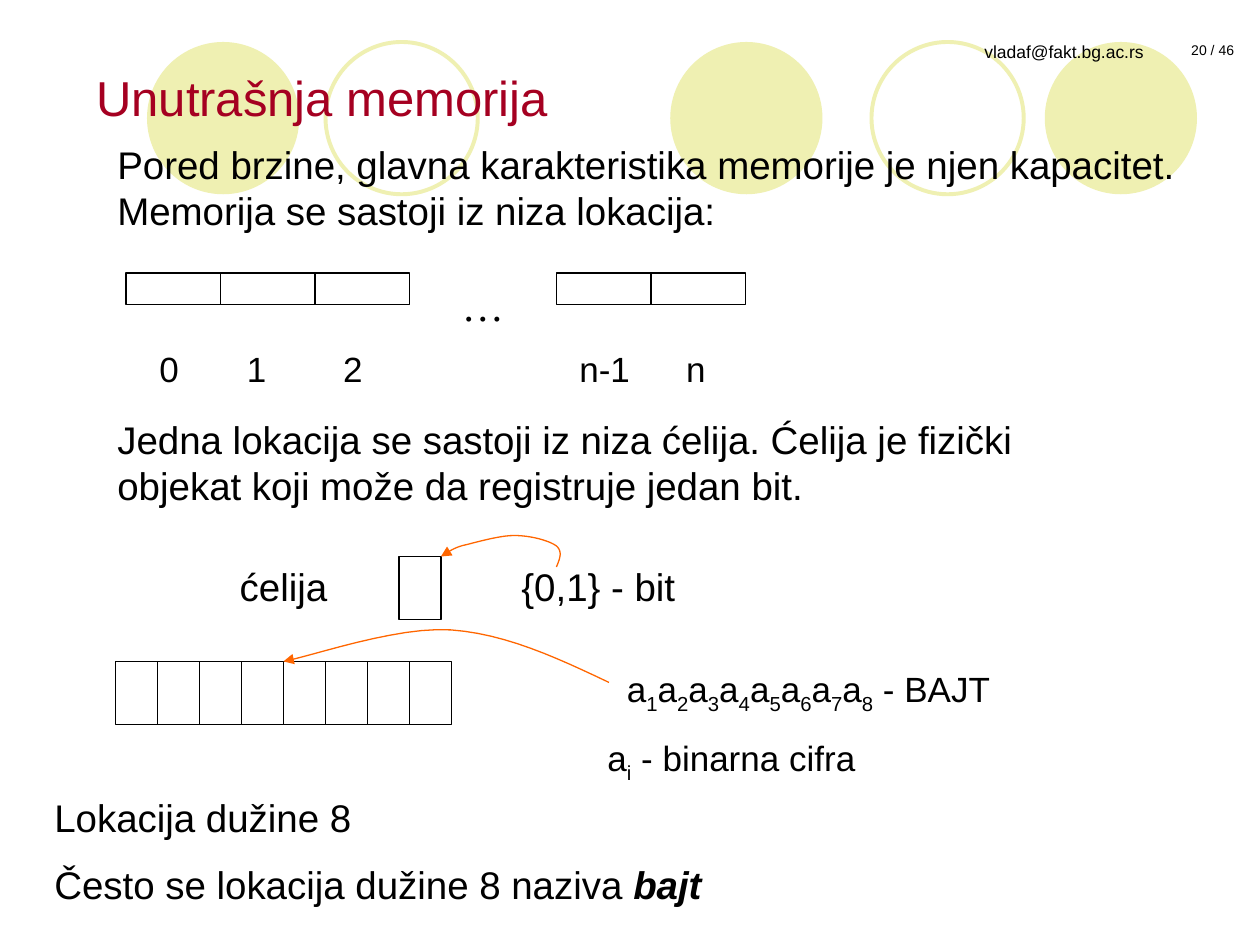
"""Builds the slide on internal memory: locations, cells and the byte."""
from lxml.etree import SubElement
from pptx import Presentation
from pptx.dml.color import RGBColor
from pptx.enum.shapes import MSO_SHAPE as Preset
from pptx.enum.text import MSO_ANCHOR as Anchor, PP_ALIGN as Align
from pptx.oxml.ns import qn
from pptx.util import Pt

BLACK = RGBColor(0x00, 0x00, 0x00)
WHITE = RGBColor(0xFF, 0xFF, 0xFF)
CREAM = RGBColor(0xEF, 0xF0, 0xB2)
CRIMSON = RGBColor(0xA5, 0x00, 0x21)
ORANGE = RGBColor(0xFF, 0x66, 0x00)

deck = Presentation()
deck.slide_width, deck.slide_height = Pt(720), Pt(540)
slide = deck.slides.add_slide(deck.slide_layouts[6])


def add_text(box, paragraphs, size, align=Align.LEFT, color=BLACK, font="Arial"):
    frame = slide.shapes.add_textbox(*map(Pt, box)).text_frame
    frame.word_wrap = True
    for index, runs in enumerate(paragraphs):
        paragraph = frame.add_paragraph() if index else frame.paragraphs[0]
        paragraph.alignment = align
        paragraph.space_before = Pt(12 if index else 0)
        for text, style in runs:
            run = paragraph.add_run()
            run.text = text
            run.font.name, run.font.size = font, Pt(size)
            run.font.color.rgb = color
            if style == "sub":
                run._r.get_or_add_rPr().set("baseline", "-25000")
            elif style == "strong":
                run.font.bold = run.font.italic = True
    return frame


def add_outline(preset, box, fill, line, width):
    shape = slide.shapes.add_shape(preset, *map(Pt, box))
    shape.shadow.inherit = False
    if fill is None:
        shape.fill.background()
    else:
        shape.fill.solid()
        shape.fill.fore_color.rgb = fill
    if line is None:
        shape.line.fill.background()
    else:
        shape.line.color.rgb = line
        shape.line.width = Pt(width)


for left in (84, 383, 597):
    add_outline(Preset.OVAL, (left, 24, 87, 87), CREAM, None, 0)
for left in (186, 498):
    add_outline(Preset.OVAL, (left, 24, 87, 87), None, CREAM, 2.25)

add_text((484.5, 20, 176, 36), [[("vladaf@fakt.bg.ac.rs", "")]], 10, Align.RIGHT)
add_text((666, 20, 54, 17), [[("20 / 46", "")]], 8, Align.CENTER)

add_text((60, 77, 640, 60), [[(
    "Pored brzine, glavna karakteristika memorije je njen kapacitet. "
    "Memorija se sastoji iz niza lokacija:", "")]], 22)

for left in (72, 126, 180, 318, 372):
    add_outline(Preset.RECTANGLE, (left, 156, 54, 18), WHITE, BLACK, 0.75)
add_text((240, 156, 72, 36), [[("…", "")]], 24, Align.CENTER, font="Times New Roman")

addresses = add_text((72, 195, 354, 36), [[("\t0\t1\t2\tn-1\tn", "")]], 20)
tab_list = SubElement(addresses.paragraphs[0]._p.get_or_add_pPr(), qn("a:tabLst"))
for position in (12, 62, 117, 252, 313):
    SubElement(tab_list, qn("a:tab"), pos=str(Pt(position)), algn="l")

add_text((60, 234, 600, 60), [[(
    "Jedna lokacija se sastoji iz niza ćelija. Ćelija je fizički "
    "objekat koji može da registruje jedan bit.", "")]], 22)

add_outline(Preset.RECTANGLE, (228, 318, 24, 36), WHITE, BLACK, 0.75)
add_text((270, 318, 150, 34), [[("{0,1} - bit ", "")]], 22, Align.CENTER)
add_text((108, 318, 108, 34), [[("ćelija", "")]], 22, Align.CENTER)

for bit in range(8):
    add_outline(Preset.RECTANGLE, (66 + 24 * bit, 378, 24, 36), WHITE, BLACK, 0.75)

byte_digits = [pair for digit in "12345678" for pair in (("a", ""), (digit, "sub"))]
byte_notes = add_text((330, 378, 264, 68), [
    byte_digits + [(" - BAJT", "")],
    [("a", ""), ("i", "sub"), (" - binarna cifra", "")],
], 20)
byte_notes.paragraphs[0].alignment = Align.CENTER
byte_notes.paragraphs[1]._p.get_or_add_pPr().set("marL", str(Pt(10)))

add_text((24, 450, 510, 74), [
    [("Lokacija dužine 8", "")],
    [("Često se lokacija dužine 8 naziva ", ""), ("bajt", "strong")],
], 22)

bit_arrow = [
    (318, 324), (319.7, 319.7), (321.8, 315.4), (318, 312),
    (313.9, 308.9), (303.1, 306), (293.8, 306),
    (285.1, 306), (270.7, 310.3), (264.2, 311.8),
    (257, 313.9), (254.9, 316.8), (252, 318),
]
byte_arrow = [
    (348, 390), (318.2, 375.8), (288.7, 362.2), (257.8, 360),
    (226.8, 357.8), (177.8, 375.1), (162, 378),
]
STEPS = 12
for controls in (bit_arrow, byte_arrow):
    builder = slide.shapes.build_freeform(*map(Pt, controls[0]))
    curve = []
    for start in range(0, len(controls) - 1, 3):
        for step in range(1, STEPS + 1):
            t = step / STEPS
            weights = ((1 - t) ** 3, 3 * t * (1 - t) ** 2, 3 * t * t * (1 - t), t ** 3)
            segment = list(zip(weights, controls[start:start + 4]))
            curve.append(tuple(Pt(sum(w * point[axis] for w, point in segment))
                               for axis in (0, 1)))
    builder.add_line_segments(curve, close=False)
    arrow = builder.convert_to_shape()
    arrow.shadow.inherit = False
    arrow.fill.background()
    arrow.line.color.rgb = ORANGE
    arrow.line.width = Pt(0.75)
    SubElement(arrow.line._get_or_add_ln(), qn("a:tailEnd"), type="triangle")

title = add_text((48, 20, 612, 71), [[("Unutrašnja memorija", "")]], 28, color=CRIMSON)
title.vertical_anchor = Anchor.MIDDLE

deck.save("out.pptx")
